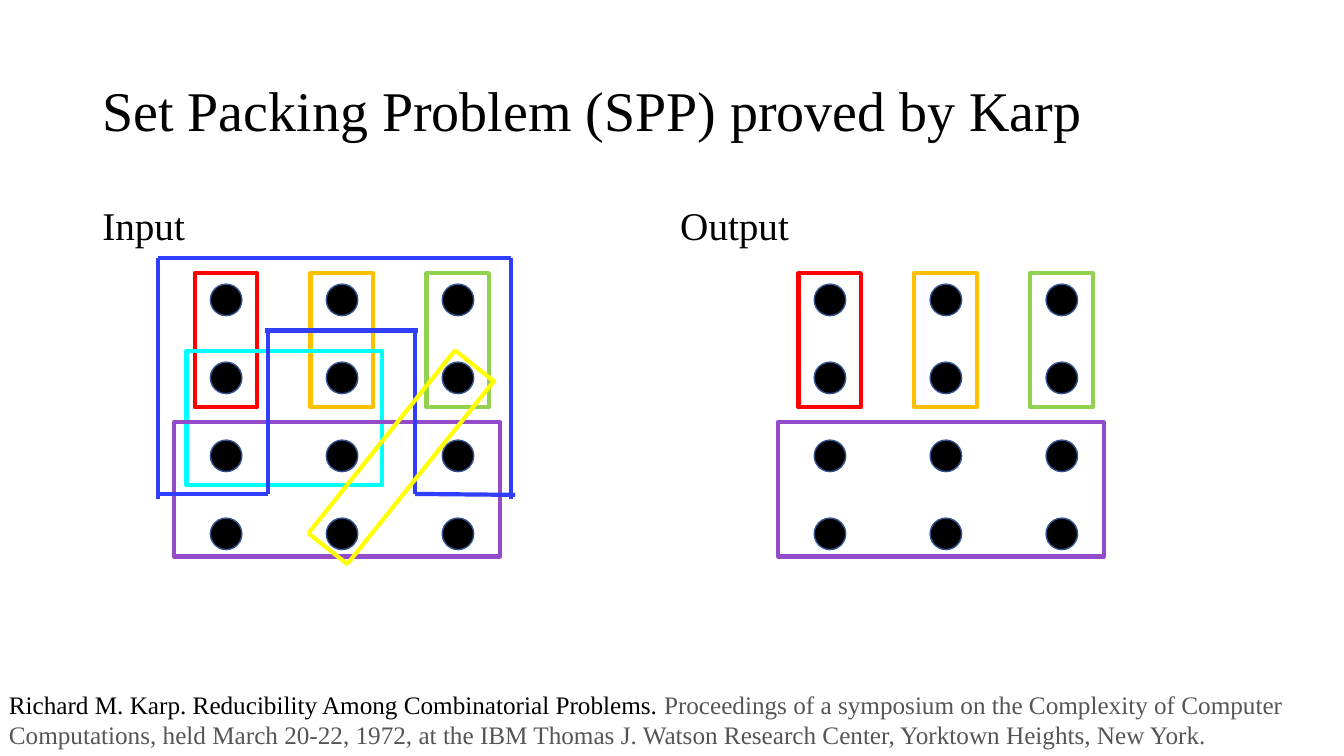
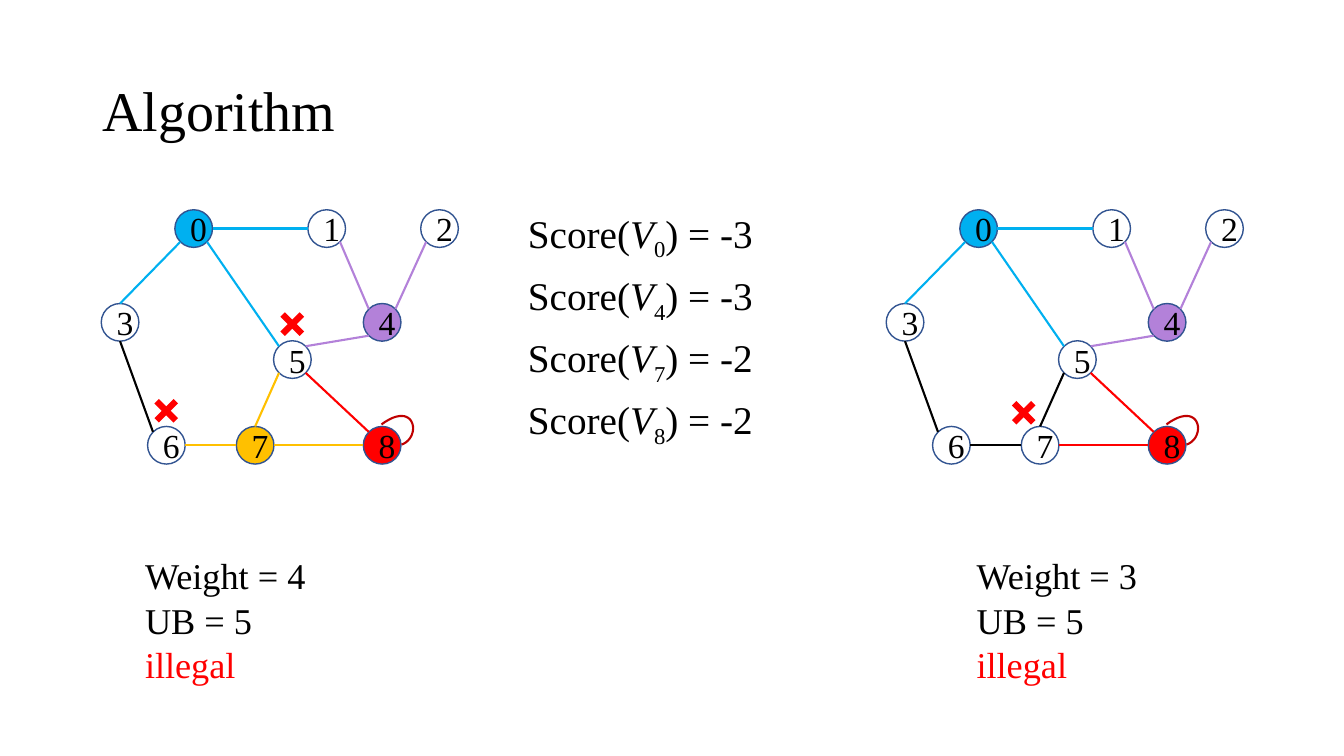
from lxml import etree
from pptx import Presentation
from pptx.dml.color import RGBColor
from pptx.enum.shapes import MSO_CONNECTOR, MSO_SHAPE
from pptx.enum.text import MSO_ANCHOR, MSO_AUTO_SIZE, PP_ALIGN
from pptx.oxml.ns import qn
from pptx.util import Pt

STRAIGHT = MSO_CONNECTOR.STRAIGHT
ELLIPSE, RECTANGLE = MSO_SHAPE.OVAL, MSO_SHAPE.RECTANGLE
LEFT, CENTER = PP_ALIGN.LEFT, PP_ALIGN.CENTER
TOP, MIDDLE = MSO_ANCHOR.TOP, MSO_ANCHOR.MIDDLE
NO_AUTOFIT = MSO_AUTO_SIZE.NONE

FONT = "Times New Roman"
BLACK, WHITE, GREY, RED = "000000", "FFFFFF", "555555", "FF0000"
OUTLINE, AMBER, GREEN, CYAN = "325491", "FFC000", "92D050", "00FFFF"
PURPLE, BLUE, YELLOW, DARK_RED = "934BC9", "323EFE", "FFFF00", "C00000"

TITLE_BOX = (66, 28.8, 828, 104.4)

DOT, DOT_LEFT, DOT_TOP, DOT_DX, DOT_DY = 22.5, 37.3, 18.7, 82.8, 55.7
SET_HEIGHT = 95.8
COLUMN_SETS = [(26 + DOT_DX * column, 10.8, 44.6, SET_HEIGHT, color)
               for column, color in enumerate((RED, AMBER, GREEN))]
CYAN_SET = (20.2, 66.2, 139.7, SET_HEIGHT, CYAN)
PURPLE_SET = (11.5, 117.4, 232.6, SET_HEIGHT, PURPLE)
OPEN_SETS = {
    BLUE: [(0, 0, 0, 172), (252, 0, 252, 172), (0, 0, 252, 0),
           (76.3, 51.8, 185.8, 51.8), (78.5, 52.6, 78.5, 168.5),
           (183.6, 52.6, 183.6, 168.5), (183.6, 168.5, 254.9, 169.2),
           (1.4, 168.5, 78.5, 168.5)],
    YELLOW: [(212.4, 65.5, 107.3, 196.6), (240.5, 87.1, 135.4, 218.2),
             (240.5, 88.6, 212.4, 66.2), (135.4, 218.9, 107.3, 196.6)],
}

NODE = 26.9
NODES = {0: (52.6, 0), 1: (147.6, 0), 2: (228.2, 0), 3: (0, 67),
         4: (187.2, 67), 5: (123.1, 93.6), 6: (33.1, 154.8),
         7: (96.5, 154.8), 8: (187.2, 154.8)}
VERTEX_COLORS = {0: "00B0F0", 4: "B381D9", 7: AMBER, 8: RED}
EDGES = [(0, "se", 5, "nw"), (0, "e", 1, "w"), (0, "sw", 3, "n"),
         (7, "w", 6, "e"), (5, "sw", 7, "n"), (1, "se", 4, "nw"),
         (2, "sw", 4, "ne"), (5, "ne", 4, "sw"), (5, "se", 8, "nw"),
         (7, "e", 8, "w"), (6, "nw", 3, "s")]
LOOP = [(13, -1.4), (37.4, -19.4), (41.8, 7.9), (27.4, 13)]
LOOP_STEPS = 24
CROSS = 13.7


def rgb(value):
    return RGBColor.from_string(value)


def apply(target, values):
    for name, value in values.items():
        setattr(target, name, value)


def place(left, top, width, height):
    return [Pt(value) for value in (left, top, width, height)]


def set_line(shape, color, weight):
    shape.line.color.rgb = rgb(color)
    shape.line.width = Pt(weight)


def write(frame, paragraphs, size, anchor=TOP, **paragraph_format):
    apply(frame, {"word_wrap": True, "auto_size": NO_AUTOFIT,
                  "vertical_anchor": anchor})
    gap = paragraph_format.pop("gap", 0)
    for index, runs in enumerate(paragraphs):
        paragraph = frame.paragraphs[0] if index == 0 else frame.add_paragraph()
        apply(paragraph, {"alignment": LEFT,
                          "space_before": Pt(gap if index else 0),
                          **paragraph_format})
        for text, color, style in runs:
            run = paragraph.add_run()
            run.text = text
            apply(run.font, {"name": FONT, "size": Pt(size),
                             "italic": style == "italic"})
            run.font.color.rgb = rgb(color)
            if style == "subscript":
                run.font._element.set("baseline", "-25000")


def add_text(slide, box, paragraphs, size, **formats):
    frame = slide.shapes.add_textbox(*place(*box)).text_frame
    write(frame, paragraphs, size, **formats)


def add_outline(shapes, kind, box, line, weight, fill=None):
    shape = shapes.add_shape(kind, *place(*box))
    shape.shadow.inherit = False
    set_line(shape, line, weight)
    if fill:
        shape.fill.solid()
        shape.fill.fore_color.rgb = rgb(fill)
    else:
        shape.fill.background()
    return shape


def add_line(shapes, start, end, color, weight):
    line = shapes.add_connector(STRAIGHT, *place(*start, *end))
    set_line(line, color, weight)
    etree.SubElement(line._element.spPr, qn("a:effectLst"))


def add_titled_slide(deck, title):
    slide = deck.slides.add_slide(deck.slide_layouts[5])
    heading = slide.shapes.title
    apply(heading, dict(zip(("left", "top", "width", "height"),
                            place(*TITLE_BOX))))
    write(heading.text_frame, [[(title, BLACK, None)]], 40, MIDDLE,
          line_spacing=0.9)
    return slide


def add_set_panel(slide, left, top, sets, open_sets):
    for row in range(4):
        for column in range(3):
            box = (left + DOT_LEFT + DOT_DX * column,
                   top + DOT_TOP + DOT_DY * row, DOT, DOT)
            add_outline(slide.shapes, ELLIPSE, box, OUTLINE, 1, BLACK)
    for x, y, width, height, color in sets:
        add_outline(slide.shapes, RECTANGLE,
                    (left + x, top + y, width, height), color, 3)
    for color, segments in open_sets.items():
        for x1, y1, x2, y2 in segments:
            add_line(slide.shapes, (left + x1, top + y1),
                     (left + x2, top + y2), color, 3)


def rim_point(node, direction):
    dx = ("e" in direction) - ("w" in direction)
    dy = ("s" in direction) - ("n" in direction)
    reach = NODE / 2 * (0.71 if dx and dy else 1)
    x, y = NODES[node]
    return x + NODE / 2 + dx * reach, y + NODE / 2 + dy * reach


def loop_points(left, top):
    points = []
    for step in range(LOOP_STEPS + 1):
        t = step / LOOP_STEPS
        weights = ((1 - t) ** 3, 3 * t * (1 - t) ** 2,
                   3 * t ** 2 * (1 - t), t ** 3)
        x, y = (sum(w * point[axis] for w, point in zip(weights, LOOP))
                for axis in (0, 1))
        points.append((Pt(left + x), Pt(top + y)))
    return points


def add_graph(slide, left, top, chosen, crosses):
    graph = slide.shapes.add_group_shape().shapes
    for node, (x, y) in NODES.items():
        fill = VERTEX_COLORS[node] if node in chosen else WHITE
        circle = add_outline(graph, ELLIPSE, (left + x, top + y, NODE, NODE),
                             OUTLINE, 1, fill)
        write(circle.text_frame, [[(str(node), BLACK, None)]], 24, MIDDLE,
              alignment=CENTER)
    for start, start_side, end, end_side in EDGES:
        owners = chosen & {start, end}
        color = VERTEX_COLORS[min(owners)] if owners else BLACK
        x1, y1 = rim_point(start, start_side)
        x2, y2 = rim_point(end, end_side)
        add_line(graph, (left + x1, top + y1), (left + x2, top + y2),
                 color, 1.5)
    x, y = NODES[8]
    first, *others = loop_points(left + x, top + y)
    builder = graph.build_freeform(*first)
    builder.add_line_segments(others, close=False)
    loop = builder.convert_to_shape()
    loop.shadow.inherit = False
    loop.fill.background()
    set_line(loop, DARK_RED, 1.5)
    for x, y in crosses:
        add_cross(slide, left + x, top + y)


def add_cross(slide, left, top):
    cross = slide.shapes.add_group_shape().shapes
    right, bottom = left + CROSS, top + CROSS
    add_line(cross, (left, top), (right, bottom), RED, 4.5)
    add_line(cross, (right, top), (left, bottom), RED, 4.5)


def add_verdict(slide, left, weight):
    lines = ((f"Weight = {weight}", BLACK), ("UB = 5", BLACK),
             ("illegal", RED))
    add_text(slide, (left, 400.3, 228, 98),
             [[(text, color, None)] for text, color in lines], 25.9,
             line_spacing=0.7, gap=10)


def build_packing_slide(deck):
    slide = add_titled_slide(deck, "Set Packing Problem (SPP) proved by Karp")
    panels = (
        ("Input", 66, 113, [*COLUMN_SETS, CYAN_SET, PURPLE_SET], OPEN_SETS),
        ("Output", 478.8, 544.3, [*COLUMN_SETS, PURPLE_SET], {}),
    )
    for label, label_left, left, sets, open_sets in panels:
        add_text(slide, (label_left, 144, 231, 40.3),
                 [[(label, BLACK, None)]], 28, line_spacing=0.9)
        add_set_panel(slide, left, 184.3, sets, open_sets)
    add_text(slide, (-0.7, 488.9, 961, 51), [[
        ("Richard M. Karp. Reducibility Among Combinatorial Problems. ",
         BLACK, None),
        ("Proceedings of a symposium on the Complexity of Computer "
         "Computations, held March 20-22, 1972, at the IBM Thomas J. Watson "
         "Research Center, Yorktown Heights, New York.", GREY, None),
    ]], 18)


def build_algorithm_slide(deck):
    slide = add_titled_slide(deck, "Algorithm")
    scores = {0: -3, 4: -3, 7: -2, 8: -2}
    add_text(slide, (370, 146.2, 217.4, 250.6), [
        [("Score(", BLACK, None), ("V", BLACK, "italic"),
         (str(vertex), BLACK, "subscript"), (f") = {score}", BLACK, None)]
        for vertex, score in scores.items()
    ], 28, line_spacing=0.9, gap=10)
    add_graph(slide, 72.3, 149.8, {0, 4, 7, 8}, [(129.6, 74.9), (39.6, 136.8)])
    add_graph(slide, 633, 149.8, {0, 4, 8}, [(91.4, 138.2)])
    add_verdict(slide, 96.5, 4)
    add_verdict(slide, 690.5, 3)


def main():
    deck = Presentation()
    deck.slide_width, deck.slide_height = Pt(960), Pt(540)
    build_packing_slide(deck)
    build_algorithm_slide(deck)
    deck.save("out.pptx")


if __name__ == "__main__":
    main()
